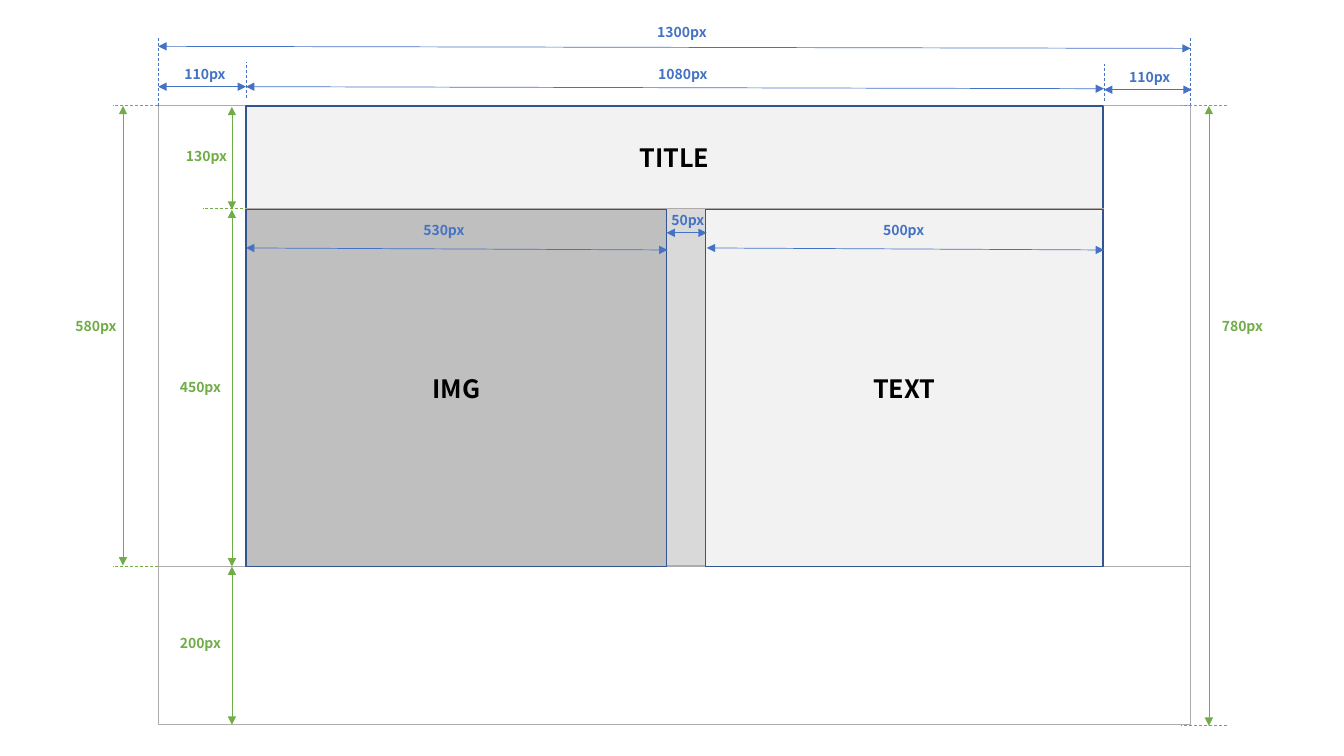
from lxml import etree
from pptx import Presentation
from pptx.dml.color import RGBColor
from pptx.enum.dml import MSO_LINE
from pptx.enum.shapes import MSO_CONNECTOR, MSO_SHAPE
from pptx.enum.text import MSO_ANCHOR, MSO_AUTO_SIZE, PP_ALIGN
from pptx.oxml.ns import qn
from pptx.util import Emu, Pt

RECTANGLE = MSO_SHAPE.RECTANGLE
STRAIGHT = MSO_CONNECTOR.STRAIGHT
DASH = MSO_LINE.DASH
MIDDLE = MSO_ANCHOR.MIDDLE
GROW = MSO_AUTO_SIZE.SHAPE_TO_FIT_TEXT
LEFT, CENTER, RIGHT = PP_ALIGN.LEFT, PP_ALIGN.CENTER, PP_ALIGN.RIGHT

EMU_PER_PX = 9144  # 100 px to the inch
FONT = "Noto Sans CJK KR"
BLUE, GREEN, NAVY = "4472C4", "70AD47", "325491"
BLACK, GRAY = "000000", "AFABAB"
PALE, SILVER, MIDGRAY = "F2F2F2", "D9D9D9", "BFBFBF"

# Edges of the page layout
PAGE_LEFT, BODY_LEFT, BODY_RIGHT, PAGE_RIGHT = 157, 244, 1095, 1181
IMAGE_RIGHT, TEXT_LEFT = 661, 700
TOP, TITLE_BOTTOM, BODY_BOTTOM, PAGE_BOTTOM = 105, 208, 562, 719
LABEL_HEIGHT = 27

FRAMES = [(PAGE_LEFT, BODY_BOTTOM, 1024, 157), (PAGE_LEFT, TOP, 1024, 457)]

GUIDES = [
    (BLUE, BODY_LEFT, 97, BODY_LEFT, 62),
    (BLUE, BODY_RIGHT, 100, BODY_RIGHT, 64),
    (BLUE, PAGE_LEFT, TOP, PAGE_LEFT, 37),
    (BLUE, PAGE_RIGHT, TOP, PAGE_RIGHT, 37),
    (GREEN, PAGE_LEFT, TOP, 112, TOP),
    (GREEN, PAGE_LEFT, BODY_BOTTOM, 112, BODY_BOTTOM),
    (GREEN, 246, 207, 201, 207),
    (GREEN, 1217, TOP, 1171, TOP),
    (GREEN, 1217, 720, 1171, 720),
]

PANELS = [
    ("TITLE", PALE, NAVY, BODY_LEFT, TOP, 850, 102),
    ("", SILVER, GRAY, BODY_LEFT, 207, 850, 354),
    ("IMG", MIDGRAY, NAVY, BODY_LEFT, TITLE_BOTTOM, 417, 354),
    ("TEXT", PALE, NAVY, TEXT_LEFT, TITLE_BOTTOM, 394, 354),
]

# Arrow ends, then label text, left, top, width and alignment
DIMENSIONS = [
    (BLUE, (PAGE_RIGHT, 48, PAGE_LEFT, 46), "1300px", 642, 18, 72, LEFT),
    (BLUE, (BODY_RIGHT, 88, BODY_LEFT, 86), "1080px", 643, 60, 72, LEFT),
    (BLUE, (BODY_LEFT, 86, PAGE_LEFT, 86), "110px", 173, 60, 61, LEFT),
    (BLUE, (1182, 89, BODY_RIGHT, 89), "110px", 1110, 63, 61, LEFT),
    (BLUE, (662, 248, BODY_LEFT, 246), "530px", 410, 215, 72, LEFT),
    (BLUE, (701, 231, IMAGE_RIGHT, 231), "50px", 656, 205, 72, LEFT),
    (BLUE, (BODY_RIGHT, 248, 701, 246), "500px", 866, 215, 72, LEFT),
    (GREEN, (122, TOP, 122, 561), "580px", 65, 310, 63, LEFT),
    (GREEN, (230, 106, 230, TITLE_BOTTOM), "130px", 172, 141, 63, RIGHT),
    (GREEN, (230, TITLE_BOTTOM, 230, BODY_BOTTOM), "450px", 166, 371, 63, RIGHT),
    (GREEN, (230, BODY_BOTTOM, 230, PAGE_BOTTOM), "200px", 166, 625, 63, RIGHT),
    (GREEN, (1199, TOP, 1199, 720), "780px", 1202, 310, 63, LEFT),
]


def px(length):
    return Emu(length * EMU_PER_PX)


def color(hex_text):
    return RGBColor.from_string(hex_text)


class LayoutPage:
    """Holds the slide being drawn and the style of its elements."""

    def __init__(self, page):
        self.shapes = page.shapes

    def set_text(self, frame, text, size, ink, align):
        frame.text = text
        para = frame.paragraphs[0]
        para.alignment = align
        for span in para.runs:
            span.font.name = FONT
            span.font.size = Pt(size)
            span.font.bold = True
            span.font.color.rgb = color(ink)

    def panel(self, left, top, width, height, outline, fill=None, text=""):
        box = self.shapes.add_shape(RECTANGLE, px(left), px(top), px(width), px(height))
        box.shadow.inherit = False
        if fill:
            box.fill.solid()
            box.fill.fore_color.rgb = color(fill)
        else:
            box.fill.background()
        box.line.color.rgb = color(outline)
        box.line.width = Pt(1)
        if text:
            box.text_frame.vertical_anchor = MIDDLE
            self.set_text(box.text_frame, text, 18, BLACK, CENTER)

    def line(self, ink, x1, y1, x2, y2):
        line = self.shapes.add_connector(STRAIGHT, px(x1), px(y1), px(x2), px(y2))
        line.line.color.rgb = color(ink)
        line.line.width = Pt(0.5)
        etree.SubElement(line._element.spPr, qn("a:effectLst"))
        return line

    def guide(self, ink, *ends):
        self.line(ink, *ends).line.dash_style = DASH

    def arrow(self, ink, *ends):
        """Draw a line with a triangle at both ends."""
        stroke = self.line(ink, *ends)._element.spPr.find(qn("a:ln"))
        for tag in ("a:headEnd", "a:tailEnd"):
            etree.SubElement(stroke, qn(tag), type="triangle")

    def label(self, text, ink, left, top, width, align):
        box = self.shapes.add_textbox(px(left), px(top), px(width), px(LABEL_HEIGHT))
        frame = box.text_frame
        frame.word_wrap = width > 61
        frame.auto_size = GROW
        self.set_text(frame, text, 10, ink, align)


def main():
    deck = Presentation()
    deck.slide_width, deck.slide_height = px(1333), px(750)
    layout = LayoutPage(deck.slides.add_slide(deck.slide_layouts[6]))

    for frame in FRAMES:
        layout.panel(*frame, GRAY)
    for guide in GUIDES:
        layout.guide(*guide)
    for text, fill, outline, *place in PANELS:
        layout.panel(*place, outline, fill, text)
    for ink, ends, text, *place in DIMENSIONS:
        layout.arrow(ink, *ends)
        layout.label(text, ink, *place)

    deck.save("out.pptx")


if __name__ == "__main__":
    main()
